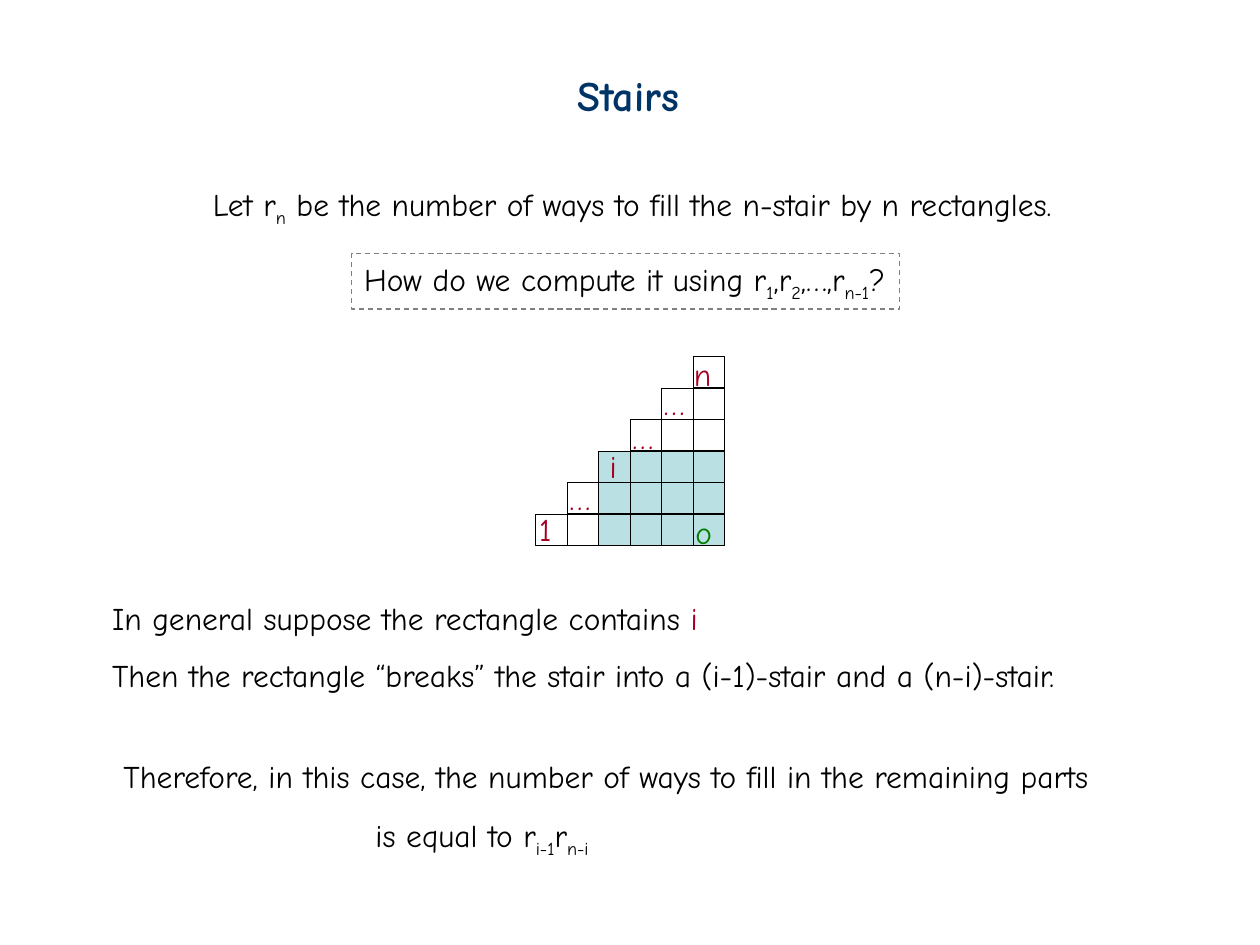
from pptx import Presentation
from pptx import util as u
from pptx.dml.color import RGBColor
from pptx.enum import dml, shapes, text

FONT, BLACK, RED, GREEN = "Comic Neue", "000000", "A50021", "008000"


def colour(value):
    return RGBColor.from_string(value)


def write(box, paragraphs, size=18, bold=False):
    """Fill a box; each paragraph is a list of (words, colour, is_subscript)."""
    frame = box.text_frame
    frame.word_wrap = False
    frame.vertical_anchor = text.MSO_ANCHOR.TOP
    for number, spans in enumerate(paragraphs):
        para = frame.add_paragraph() if number else frame.paragraphs[0]
        para.alignment = text.PP_ALIGN.LEFT
        if number:
            para.line_spacing = 1.5
        for words, shade, subscript in spans:
            span = para.add_run()
            span.text = words
            span.font.name = FONT
            span.font.size = u.Pt(size)
            span.font.bold = bold
            span.font.color.rgb = colour(shade)
            if subscript:
                span.font._element.set("baseline", "-25000")


deck = Presentation()
deck.slide_width, deck.slide_height = u.Cm(25.4), u.Cm(19.05)
page = deck.slides.add_slide(deck.slide_layouts[5])

# Stair geometry
step = u.Cm(1.27) // 2
steps = 6
stair_left, stair_bottom = u.Cm(10.8), u.Cm(11)

# Highlighted rectangle through step i, then the unit squares column by column
squares = [(2, 3, 4, 3, "BBE0E3")]
for column in range(steps):
    for row in range(column + 1):
        squares.append((column, row + 1, 1, 1, None))
for column, top_row, wide, high, fill in squares:
    square = page.shapes.add_shape(
        shapes.MSO_SHAPE.RECTANGLE, stair_left + column * step,
        stair_bottom - top_row * step, wide * step, high * step)
    square.shadow.inherit = False
    if fill:
        square.fill.solid()
        square.fill.fore_color.rgb = colour(fill)
    else:
        square.fill.background()
    square.line.color.rgb = colour(BLACK)
    square.line.width = u.Pt(0.75)

# Title
title = page.shapes.title
title.left, title.top, title.width, title.height = (
    u.Cm(11.38), u.Cm(1.27), u.Cm(2.59), u.Cm(1.27))
write(title, [[("Stairs", "003366", False)]], size=24, bold=True)

# Framed question
question = page.shapes.add_shape(
    shapes.MSO_SHAPE.RECTANGLE, u.Cm(7.09), u.Cm(5.11), u.Cm(11.05), u.Cm(1.12))
question.shadow.inherit = False
question.fill.background()
question.line.color.rgb = colour("808080")
question.line.width = u.Pt(0.75)
question.line.dash_style = dml.MSO_LINE.DASH
write(question, [[
    ("How do we compute it using r", BLACK, False), ("1", BLACK, True),
    (",r", BLACK, False), ("2", BLACK, True), (",…,r", BLACK, False),
    ("n-1", BLACK, True), ("?", BLACK, False)]])

# Statements and stair labels: left, top, width, height in cm, paragraphs
statements = [
    (4.04, 3.61, 17.5, 1.12, [[
        ("Let r", BLACK, False), ("n", BLACK, True),
        (" be the number of ways to fill the n-stair by n rectangles.", BLACK, False)]]),
    (2.01, 11.96, 19.69, 2.16, [
        [("In general suppose the rectangle contains ", BLACK, False), ("i", RED, False)],
        [("Then the rectangle “breaks” the stair into a (i-1)-stair and a (n-i)-stair.",
          BLACK, False)]]),
    (2.24, 15.14, 20.24, 2.31, [
        [("Therefore, in this case, the number of ways to fill in the remaining parts",
          BLACK, False)],
        [("is equal to r", BLACK, False), ("i-1", BLACK, True),
         ("r", BLACK, False), ("n-i", BLACK, True)]]),
]
labels = [
    ("1", 10.62, 10.16, 0.76, RED), ("…", 11.23, 9.53, 0.91, RED),
    ("i", 12.04, 8.89, 0.64, RED), ("…", 12.5, 8.31, 0.91, RED),
    ("…", 13.13, 7.62, 0.91, RED), ("n", 13.74, 7.04, 0.86, RED),
    ("o", 13.77, 10.21, 0.84, GREEN),
]
for words, left, top, width, shade in labels:
    statements.append((left, top, width, 1.02, [[(words, shade, False)]]))
for left, top, width, height, paragraphs in statements:
    box = page.shapes.add_textbox(u.Cm(left), u.Cm(top), u.Cm(width), u.Cm(height))
    write(box, paragraphs)
    # The formula line is indented under the conclusion
    if paragraphs[-1][0][0].startswith("is equal"):
        formula = box.text_frame.paragraphs[-1]
        formula._p.get_or_add_pPr().set("marL", str(u.Cm(5.08)))

deck.save("out.pptx")
